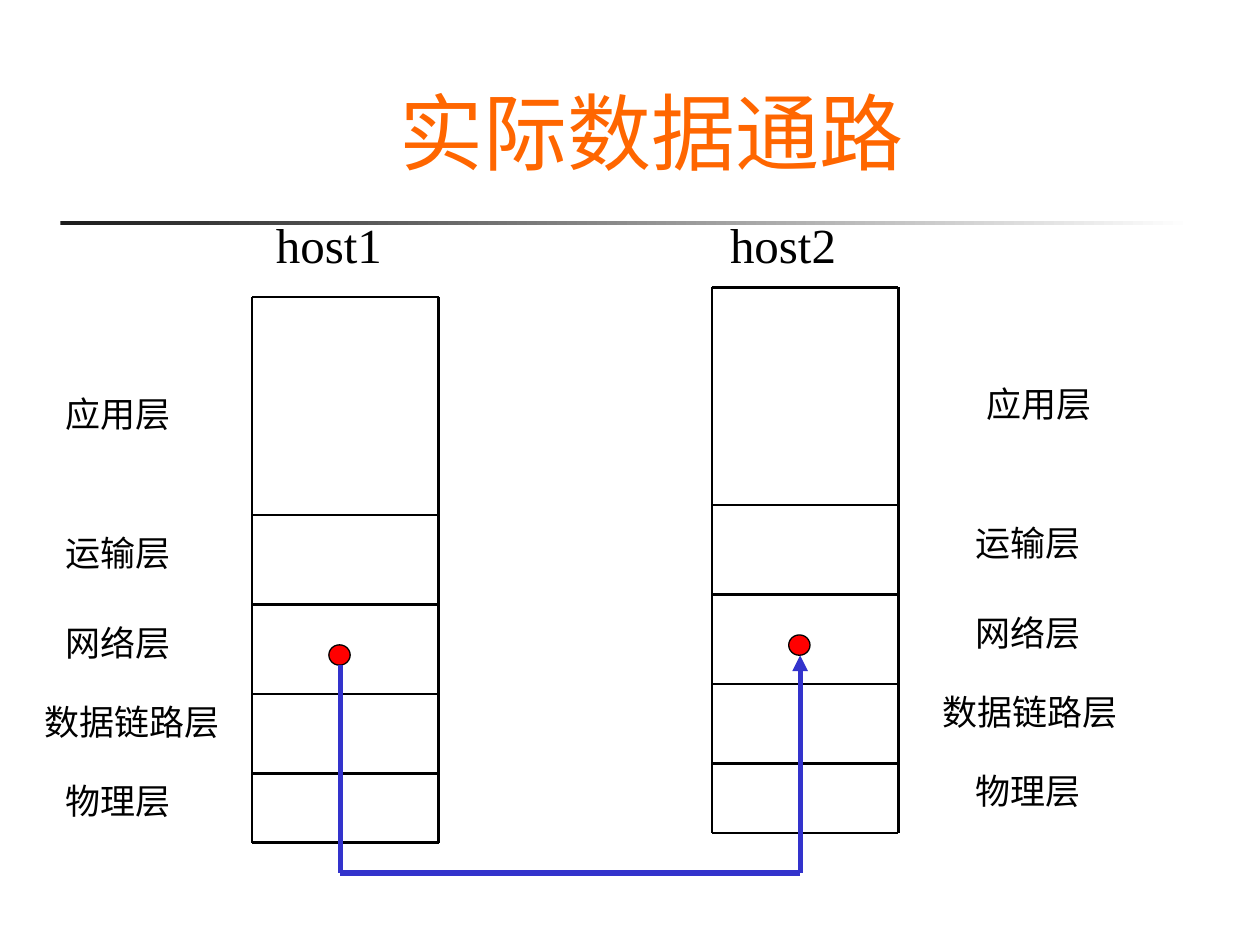
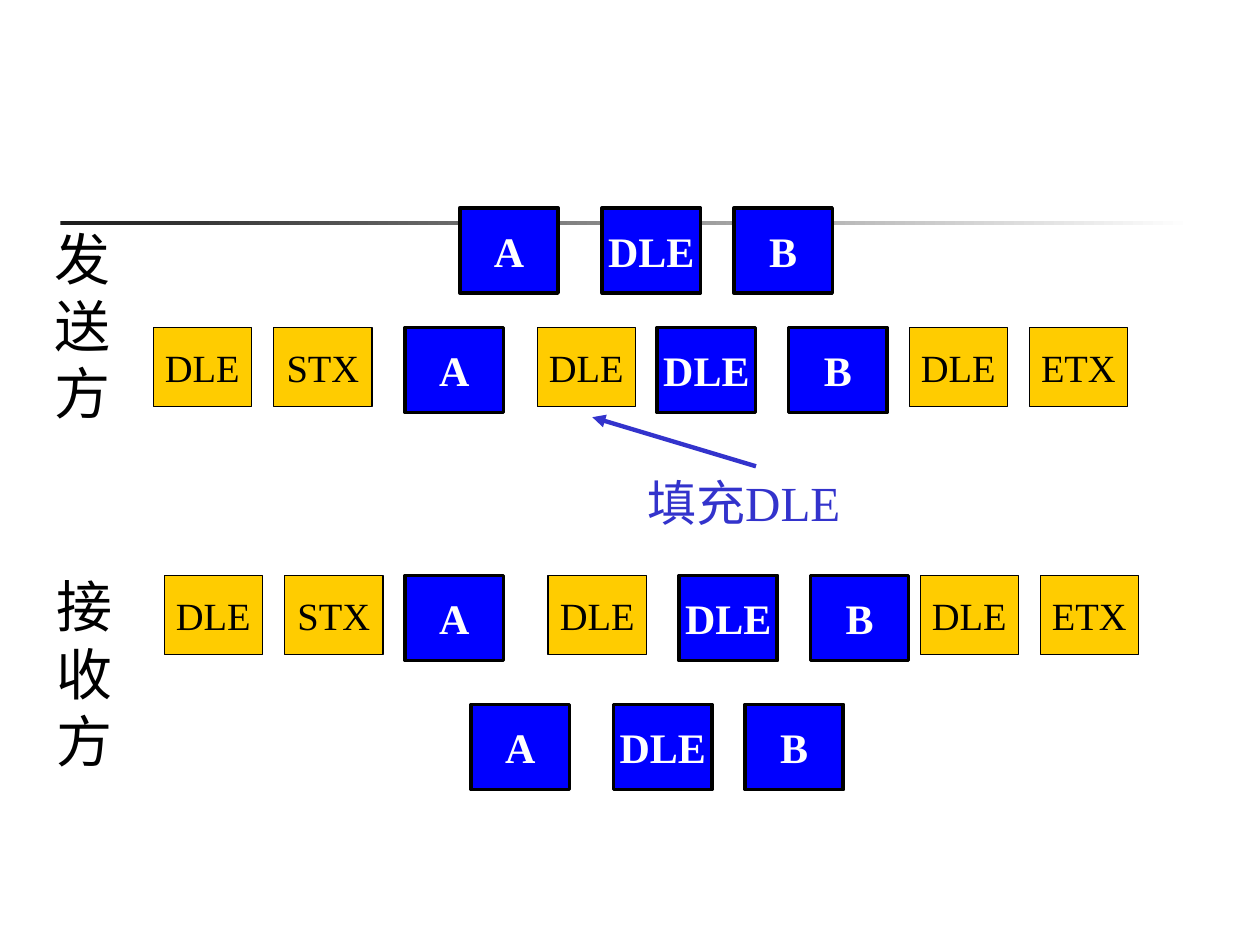
import lxml.etree
import pptx
import pptx.dml.color
import pptx.enum.shapes
import pptx.enum.text
import pptx.oxml.ns
import pptx.util

Cm = pptx.util.Cm
Pt = pptx.util.Pt
RGB = pptx.dml.color.RGBColor
SHAPE = pptx.enum.shapes.MSO_SHAPE
ALIGN = pptx.enum.text.PP_ALIGN
ANCHOR = pptx.enum.text.MSO_ANCHOR
qn = pptx.oxml.ns.qn

BLACK = RGB(0x00, 0x00, 0x00)
WHITE = RGB(0xFF, 0xFF, 0xFF)
DARK = RGB(0x1C, 0x1C, 0x1C)
ORANGE = RGB(0xFF, 0x66, 0x00)
RED = RGB(0xFF, 0x00, 0x00)
INDIGO = RGB(0x33, 0x33, 0xCC)
BLUE = RGB(0x00, 0x00, 0xFF)
GOLD = RGB(0xFF, 0xCC, 0x00)

HOST_WIDTH = 3.76
EDGES = [0, 4.39, 6.2, 8, 9.6, 11]
LAYERS = [("应用层", 1.8), ("运输层", 4.6), ("网络层", 6.4),
          ("数据链路层", 8), ("物理层", 9.6)]
BASE = 17.6


def write(frame, text, size=20, color=BLACK, font="Times New Roman",
          bold=False, align=ALIGN.LEFT, anchor=ANCHOR.TOP, pad=0):
    frame.word_wrap = True
    frame.auto_size = pptx.enum.text.MSO_AUTO_SIZE.NONE
    frame.vertical_anchor = anchor
    frame.margin_left = frame.margin_right = Cm(pad)
    frame.margin_top = frame.margin_bottom = Cm(0.13)
    par = frame.paragraphs[0]
    par.alignment = align
    run = par.add_run()
    run.text = text
    run.font.name = font
    run.font.size = Pt(size)
    run.font.bold = bold
    run.font.color.rgb = color


class Deck:
    def __init__(self):
        self.file = pptx.Presentation()
        self.file.slide_width = Cm(25.4)
        self.file.slide_height = Cm(19.05)
        self.slide = None

    def page(self, title=None):
        layout = self.file.slide_layouts[5 if title else 6]
        self.slide = self.file.slides.add_slide(layout)
        self.rule()
        if title:
            head = self.slide.shapes.title
            head.left, head.top = Cm(2.34), Cm(1.27)
            head.width, head.height = Cm(21.59), Cm(2.51)
            write(head.text_frame, title, size=48, color=ORANGE, font="Cabin",
                  align=ALIGN.CENTER, anchor=ANCHOR.BOTTOM, pad=0.25)

    def rule(self):
        bar = self.shape(SHAPE.RECTANGLE, 1.22, 4.45, 22.83, 0.09)
        bar.line.fill.background()
        bar.fill.gradient()
        bar.fill.gradient_angle = 0
        for stop, color in zip(bar.fill.gradient_stops, (DARK, WHITE)):
            stop.color.rgb = color

    def shape(self, kind, left, top, width, height, fill=WHITE, weight=0.75):
        item = self.slide.shapes.add_shape(
            kind, Cm(left), Cm(top), Cm(width), Cm(height))
        item.shadow.inherit = False
        item.fill.solid()
        item.fill.fore_color.rgb = fill
        item.line.color.rgb = BLACK
        item.line.width = Pt(weight)
        return item

    def text(self, text, left, top, width, height, **style):
        box = self.slide.shapes.add_textbox(
            Cm(left), Cm(top), Cm(width), Cm(height))
        write(box.text_frame, text, **style)

    def line(self, start, end, color=BLACK, weight=1.5, arrow=False):
        link = self.slide.shapes.add_connector(
            pptx.enum.shapes.MSO_CONNECTOR.STRAIGHT,
            *(Cm(n) for n in (*start, *end)))
        link.line.color.rgb = color
        link.line.width = Pt(weight)
        props = link.element.spPr
        if arrow:
            lxml.etree.SubElement(props.find(qn("a:ln")), qn("a:tailEnd"),
                                  type="triangle")
        lxml.etree.SubElement(props, qn("a:effectLst"))

    def host(self, left, top):
        right = left + HOST_WIDTH
        for x in (left, right):
            self.line((x, top), (x, top + EDGES[-1]))
        for edge in EDGES:
            self.line((left, top + edge), (right, top + edge))

    def labels(self, top, lefts):
        for (name, drop), left in zip(LAYERS, lefts):
            width = 5.51 if len(name) > 3 else 3.53
            self.text(name, left, top + drop, width, 1.12)

    def dot(self, left, top):
        self.shape(SHAPE.OVAL, left + 1.55, top + 7.01, 0.43, 0.41, RED)
        return left + 1.78, top + 7.42

    def data(self, text, left, top):
        block = self.shape(SHAPE.RECTANGLE, left, top, 1.98, 1.72, BLUE, 2)
        write(block.text_frame, text, size=24, color=WHITE, bold=True,
              align=ALIGN.CENTER, anchor=ANCHOR.MIDDLE)

    def control(self, text, left, top):
        block = self.shape(SHAPE.RECTANGLE, left, top, 1.98, 1.6, GOLD)
        write(block.text_frame, text, size=22, align=ALIGN.CENTER,
              anchor=ANCHOR.MIDDLE)

    def row(self, top, data, control=()):
        for text, left in zip(("A", "DLE", "B"), data):
            self.data(text, left, top)
        for text, left in zip(("DLE", "STX", "DLE", "DLE", "ETX"), control):
            self.control(text, left, top)


def draw_route(deck):
    deck.page("实际数据通路")
    hosts = [
        ("host1", 5.08, 5.99, 4.65, 3.96, [1.32, 1.32, 1.32, 0.89, 1.32]),
        ("host2", 14.35, 5.79, 13.69, 4.19, [19.89, 19.66, 19.66, 19, 19.66]),
    ]
    ports = []
    for name, left, top, name_left, width, lefts in hosts:
        deck.labels(top, lefts)
        deck.host(left, top)
        deck.text(name, name_left, 4.19, width, 1.45, size=28,
                  align=ALIGN.CENTER)
        ports.append(deck.dot(left, top))
    source, target = ports
    route = [source, (source[0], BASE), (target[0], BASE), target]
    for start, end in zip(route, route[1:]):
        deck.line(start, end, INDIGO, 3, arrow=end == target)


def draw_stuffing(deck):
    deck.page()
    deck.row(4.19, [9.27, 12.14, 14.8])
    deck.row(6.6, [8.17, 13.25, 15.9], [3.09, 5.52, 10.83, 18.33, 20.75])
    deck.row(11.6, [8.17, 13.69, 16.34], [3.31, 5.74, 11.05, 18.55, 20.97])
    deck.row(14.2, [9.5, 12.37, 15.02])
    deck.text("发送方", 1.1, 4.39, 1.55, 4.32, size=32)
    deck.text("接收方", 1.15, 11.4, 1.55, 4.32, size=32)
    deck.text("填充DLE", 12.8, 9.4, 5.31, 1.45, size=28, color=INDIGO,
              pad=0.25)
    deck.line((15.24, 9.4), (11.94, 8.41), INDIGO, 2.5, arrow=True)


def main():
    deck = Deck()
    draw_route(deck)
    draw_stuffing(deck)
    deck.file.save("out.pptx")


if __name__ == "__main__":
    main()
